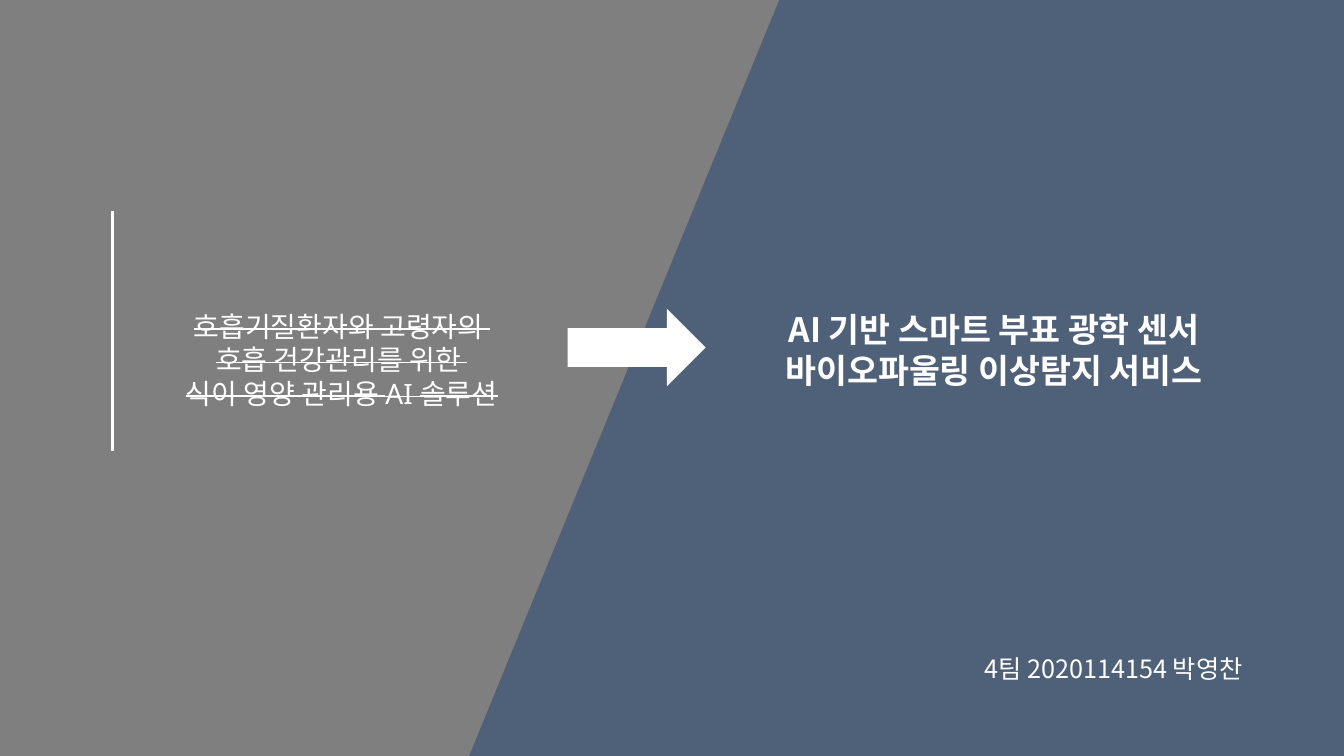
from dataclasses import dataclass

from lxml import etree
from pptx import Presentation
from pptx.dml.color import RGBColor
from pptx.enum.shapes import MSO_CONNECTOR, MSO_SHAPE
from pptx.enum.text import MSO_AUTO_SIZE, PP_ALIGN
from pptx.oxml.ns import qn
from pptx.util import Pt

RECTANGLE = MSO_SHAPE.RECTANGLE
RIGHT_TRIANGLE = MSO_SHAPE.RIGHT_TRIANGLE
DOWN_ARROW = MSO_SHAPE.DOWN_ARROW
STRAIGHT = MSO_CONNECTOR.STRAIGHT
FIT_SHAPE = MSO_AUTO_SIZE.SHAPE_TO_FIT_TEXT
LEFT, CENTER = PP_ALIGN.LEFT, PP_ALIGN.CENTER


@dataclass(frozen=True)
class Theme:
    navy = RGBColor(0x4F, 0x60, 0x79)
    gray = RGBColor(0x7F, 0x7F, 0x7F)
    white = RGBColor(0xFF, 0xFF, 0xFF)
    old_font = "Noto Sans"
    new_font = "Noto Sans CJK KR"
    old_size = Pt(20)
    new_size = Pt(24)
    author_size = Pt(18)


theme = Theme()
WIDTH, HEIGHT = 960, 540
GRAY_WIDTH = 335

deck = Presentation()
deck.slide_width, deck.slide_height = Pt(WIDTH), Pt(HEIGHT)
slide = deck.slides.add_slide(deck.slide_layouts[6])


def add_filled(preset, left, top, width, height, color):
    shape = slide.shapes.add_shape(preset, Pt(left), Pt(top), Pt(width), Pt(height))
    shape.shadow.inherit = False
    shape.fill.solid()
    shape.fill.fore_color.rgb = color
    shape.line.fill.background()
    return shape


def add_lines(lines, left, top, width, height, font_name, size,
              align=CENTER, bold=False, struck=False):
    """Add a white text box with one paragraph per line."""
    box = slide.shapes.add_textbox(Pt(left), Pt(top), Pt(width), Pt(height))
    frame = box.text_frame
    frame.word_wrap = True
    frame.auto_size = FIT_SHAPE
    frame.text = "\n".join(lines)
    for paragraph in frame.paragraphs:
        paragraph.alignment = align
        font = paragraph.font
        font.name, font.size, font.bold = font_name, size, bold
        font.color.rgb = theme.white
        if struck:
            paragraph.runs[0].font._element.set("strike", "sngStrike")


# Two-tone background with a slanted edge
add_filled(RECTANGLE, 0, 0, WIDTH, HEIGHT, theme.navy)
add_filled(RECTANGLE, 0, 0, GRAY_WIDTH, HEIGHT, theme.gray)
slant = add_filled(RIGHT_TRIANGLE, GRAY_WIDTH, 0, 221.5, HEIGHT, theme.gray)
slant.rotation = 180
slant._element.spPr.find(qn("a:xfrm")).set("flipH", "1")

# Dropped topic
add_lines(["호흡기질환자와 고령자의 ", "호흡 건강관리를 위한 ", "식이 영양 관리용 AI 솔루션"],
          61.2, 217.4, 365.8, 104.4, theme.old_font, theme.old_size, struck=True)
accent = slide.shapes.add_connector(STRAIGHT, Pt(80.6), Pt(150.5), Pt(80.6), Pt(321.8))
accent.line.color.rgb = theme.white
accent.line.width = Pt(2)
etree.SubElement(accent._element.spPr, qn("a:effectLst"))

# Author
add_lines(["4팀 2020114154 박영찬"], 696.2, 463, 224.6, 28.8,
          theme.new_font, theme.author_size, align=LEFT)

# Arrow to the new topic
arrow = add_filled(DOWN_ARROW, 427, 198.9, 55.4, 98.6, theme.white)
arrow.rotation = 270
add_lines(["AI 기반 스마트 부표 광학 센서", "바이오파울링 이상탐지 서비스"],
          513.4, 217.4, 393.1, 65.5, theme.new_font, theme.new_size, bold=True)

deck.save("out.pptx")
